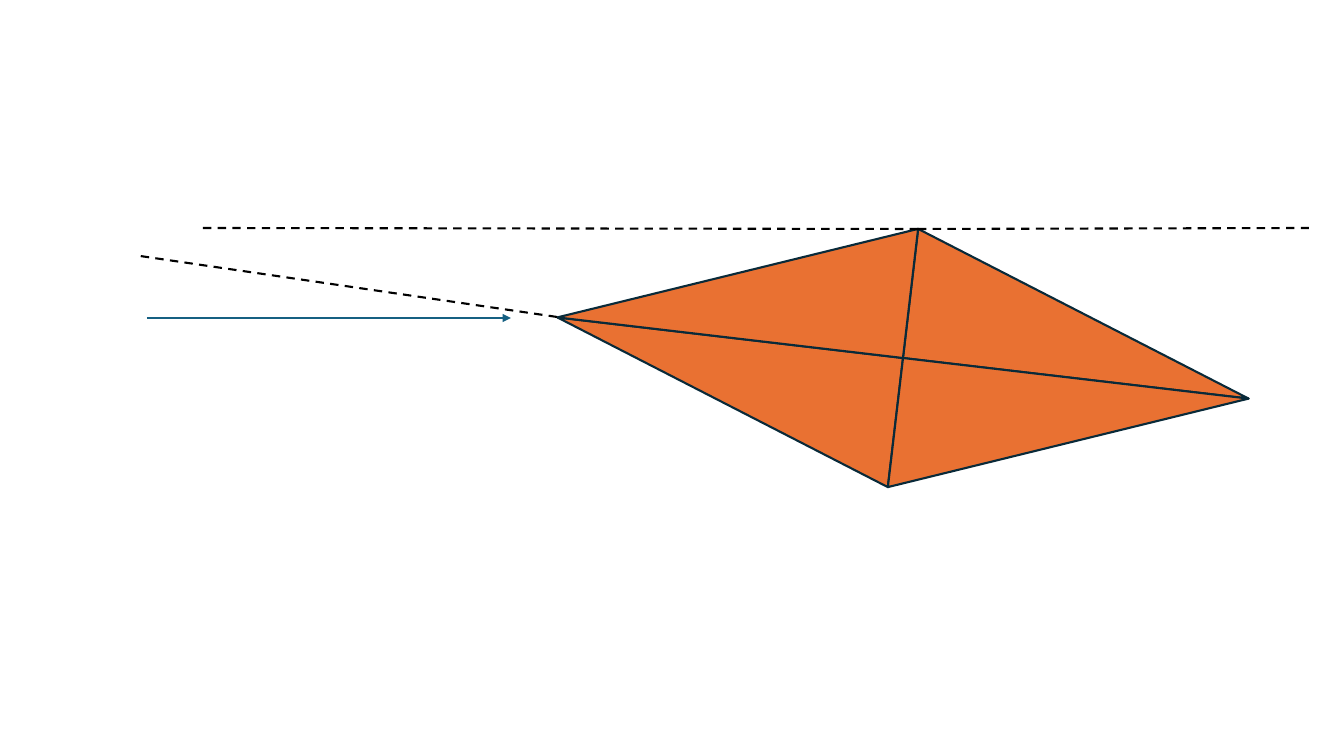
import math

import pptx
import pptx.dml.color
import pptx.enum.dml
import pptx.enum.shapes
import pptx.oxml.ns
import pptx.oxml.xmlchemy
import pptx.util
from lxml import etree

SCALE = 914400 / 100.8
COLORS = {"kite": "E97132", "edge": "092A39", "guide": "000000", "arrow": "156082"}
TILT = 6.7
HUB = (903, 358)
WIDE, HIGH = 348, 130
# Side of the hub on which each triangle lies, from back to front
SIDES = [(1, -1), (-1, 1), (1, 1), (-1, -1)]
TIP = (918, 229)


def emu(px):
    return pptx.util.Emu(round(px * SCALE))


def color(name):
    return pptx.dml.color.RGBColor.from_string(COLORS[name])


def stroke(line, name):
    line.color.rgb = color(name)
    line.width = pptx.util.Pt(1.5)


def add_wing(slide, side_x, side_y):
    """Add a right triangle whose square corner sits on the hub."""
    turn = math.radians(TILT)
    dx, dy = side_x * WIDE / 2, side_y * HIGH / 2
    mid_x = HUB[0] + dx * math.cos(turn) - dy * math.sin(turn)
    mid_y = HUB[1] + dx * math.sin(turn) + dy * math.cos(turn)
    wing = slide.shapes.add_shape(
        pptx.enum.shapes.MSO_SHAPE.RIGHT_TRIANGLE,
        emu(mid_x - WIDE / 2), emu(mid_y - HIGH / 2), emu(WIDE), emu(HIGH))
    wing.shadow.inherit = False
    wing.fill.solid()
    wing.fill.fore_color.rgb = color("kite")
    stroke(wing.line, "edge")
    wing.rotation = TILT + (180 if side_y > 0 else 0)
    if side_x == side_y:
        wing.element.spPr.find(pptx.oxml.ns.qn("a:xfrm")).set("flipH", "1")


def add_line(slide, start, end, name, dash=False, head=False):
    link = slide.shapes.add_connector(
        pptx.enum.shapes.MSO_CONNECTOR.STRAIGHT,
        *(emu(px) for px in (*start, *end)))
    stroke(link.line, name)
    if dash:
        link.line.dash_style = pptx.enum.dml.MSO_LINE.DASH
    props = link.element.spPr
    if head:
        outline = props.find(pptx.oxml.ns.qn("a:ln"))
        etree.SubElement(outline, pptx.oxml.ns.qn("a:tailEnd"), type="triangle")
    etree.SubElement(props, pptx.oxml.ns.qn("a:effectLst"))


def main():
    deck = pptx.Presentation()
    deck.slide_width, deck.slide_height = emu(1344), emu(756)
    slide = deck.slides.add_slide(deck.slide_layouts[6])

    for side in SIDES:
        add_wing(slide, *side)
    for start, end in [(TIP, (202, 228)), (TIP, (1309, 228)),
                       ((557, 317), (140, 256))]:
        add_line(slide, start, end, "guide", dash=True)
    add_line(slide, (147, 318), (511, 318), "arrow", head=True)

    deck.save("out.pptx")


if __name__ == "__main__":
    main()
